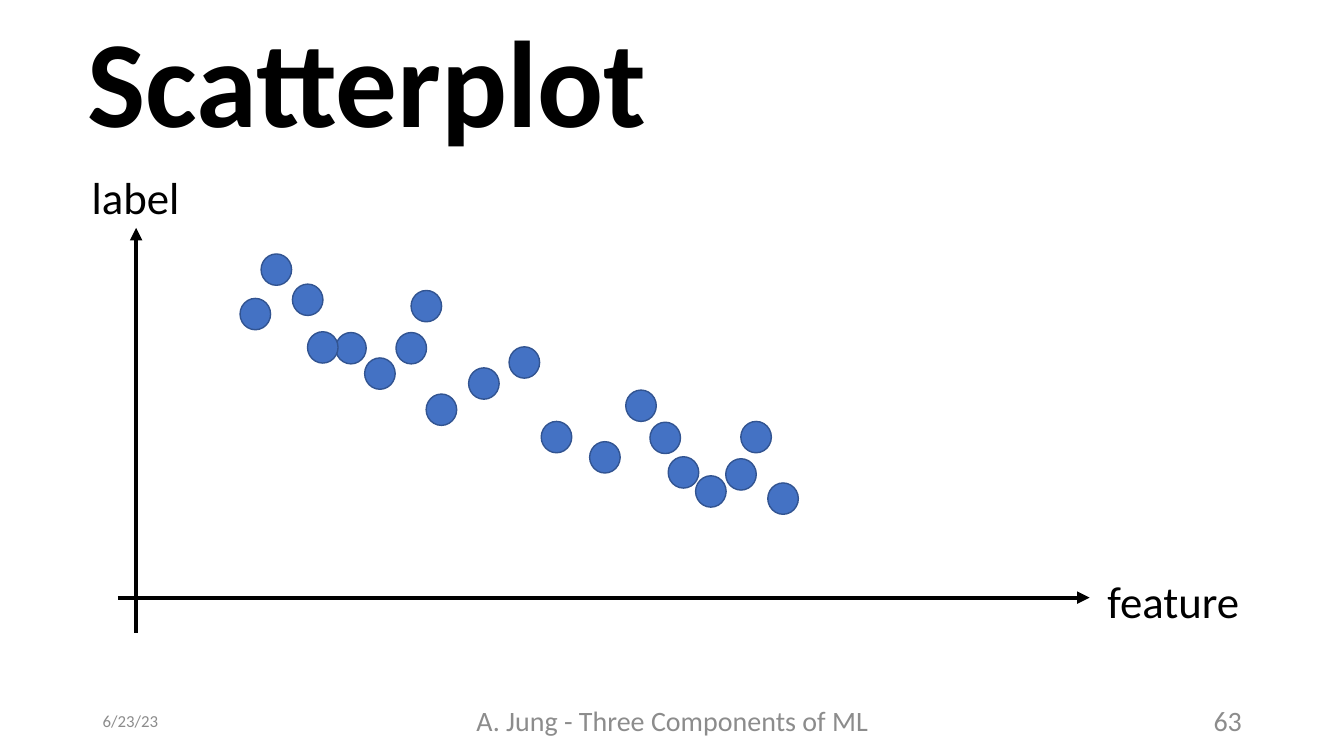
import pptx
import pptx.dml.color
import pptx.enum.shapes
import pptx.enum.text
import pptx.oxml
import pptx.oxml.ns
import pptx.util

Cm, Pt = pptx.util.Cm, pptx.util.Pt
RGB = pptx.dml.color.RGBColor.from_string
ALIGN = pptx.enum.text.PP_ALIGN
ANCHOR = pptx.enum.text.MSO_ANCHOR
AUTOSIZE = pptx.enum.text.MSO_AUTO_SIZE

COLORS = {"text": "000000", "footer": "8C8C8C", "dot": "4472C4", "dot_line": "325491"}
DOT_W, DOT_H = 0.77, 0.79

prs = pptx.Presentation()
prs.slide_width, prs.slide_height = Cm(33.87), Cm(19.05)
s = prs.slides.add_slide(prs.slide_layouts[5])


def write(tf, text, size, color, align=ALIGN.LEFT, bold=False):
    p = tf.paragraphs[0]
    p.alignment = align
    r = p.add_run()
    r.text = text
    r.font.name = "Calibri"
    r.font.size = Pt(size)
    r.font.bold = bold
    r.font.color.rgb = RGB(COLORS[color])
    return p


# Title
title = s.shapes.title
title.left, title.top, title.width, title.height = Cm(1.96), Cm(0.36), Cm(29.21), Cm(3.68)
tf = title.text_frame
tf.word_wrap = True
tf.auto_size = AUTOSIZE.NONE
tf.vertical_anchor = ANCHOR.MIDDLE
write(tf, "Scatterplot", 88, "text", bold=True).line_spacing = 0.9

# Axes: start and end points
for x1, y1, x2, y2 in [(2.97, 15.06, 27.46, 15.06), (3.43, 15.95, 3.43, 5.74)]:
    axis = s.shapes.add_connector(
        pptx.enum.shapes.MSO_CONNECTOR.STRAIGHT, Cm(x1), Cm(y1), Cm(x2), Cm(y2))
    axis.line.color.rgb = RGB(COLORS["text"])
    axis.line.width = Pt(3)
    ln = axis.line._get_or_add_ln()
    pptx.oxml.ns.qn("a:ln")
    ln.append(pptx.oxml.parse_xml(
        f'<a:tailEnd {pptx.oxml.ns.nsdecls("a")} type="triangle"/>'))
    axis._element.spPr.append(pptx.oxml.parse_xml(
        f'<a:effectLst {pptx.oxml.ns.nsdecls("a")}/>'))

# Axis names
for text, x, y, w in [("feature", 27.66, 14.33, 3.86), ("label", 2.06, 4.14, 2.74)]:
    tf = s.shapes.add_textbox(Cm(x), Cm(y), Cm(w), Cm(1.62)).text_frame
    tf.word_wrap = False
    tf.auto_size = AUTOSIZE.SHAPE_TO_FIT_TEXT
    write(tf, text, 32, "text")

# Data points: left and top of each dot
dots = [
    (6.05, 7.52), (8.46, 8.38), (10.74, 9.93), (12.83, 8.74), (9.98, 8.38),
    (7.37, 7.16), (13.64, 10.62), (15.77, 9.83), (17.53, 11.99), (18.67, 10.62),
    (11.81, 9.27), (10.36, 7.32), (14.86, 11.13), (16.38, 10.64), (16.84, 11.51),
    (18.29, 11.56), (19.35, 12.17), (6.58, 6.4), (7.75, 8.36), (9.19, 9.02),
]
for x, y in dots:
    sp = s.shapes.add_shape(
        pptx.enum.shapes.MSO_SHAPE.OVAL, Cm(x), Cm(y), Cm(DOT_W), Cm(DOT_H))
    sp.shadow.inherit = False
    sp.fill.solid()
    sp.fill.fore_color.rgb = RGB(COLORS["dot"])
    sp.line.color.rgb = RGB(COLORS["dot_line"])
    sp.line.width = Pt(1)

# Footer
for text, x, w, size, align in [
    ("6/23/23", 2.34, 7.62, 12, ALIGN.LEFT),
    ("A. Jung - Three Components of ML", 11.23, 11.43, 20, ALIGN.CENTER),
    ("63", 23.93, 7.62, 20, ALIGN.RIGHT),
]:
    tf = s.shapes.add_textbox(Cm(x), Cm(17.65), Cm(w), Cm(1.02)).text_frame
    tf.word_wrap = True
    tf.vertical_anchor = ANCHOR.MIDDLE
    write(tf, text, size, "footer", align)

prs.save("out.pptx")
